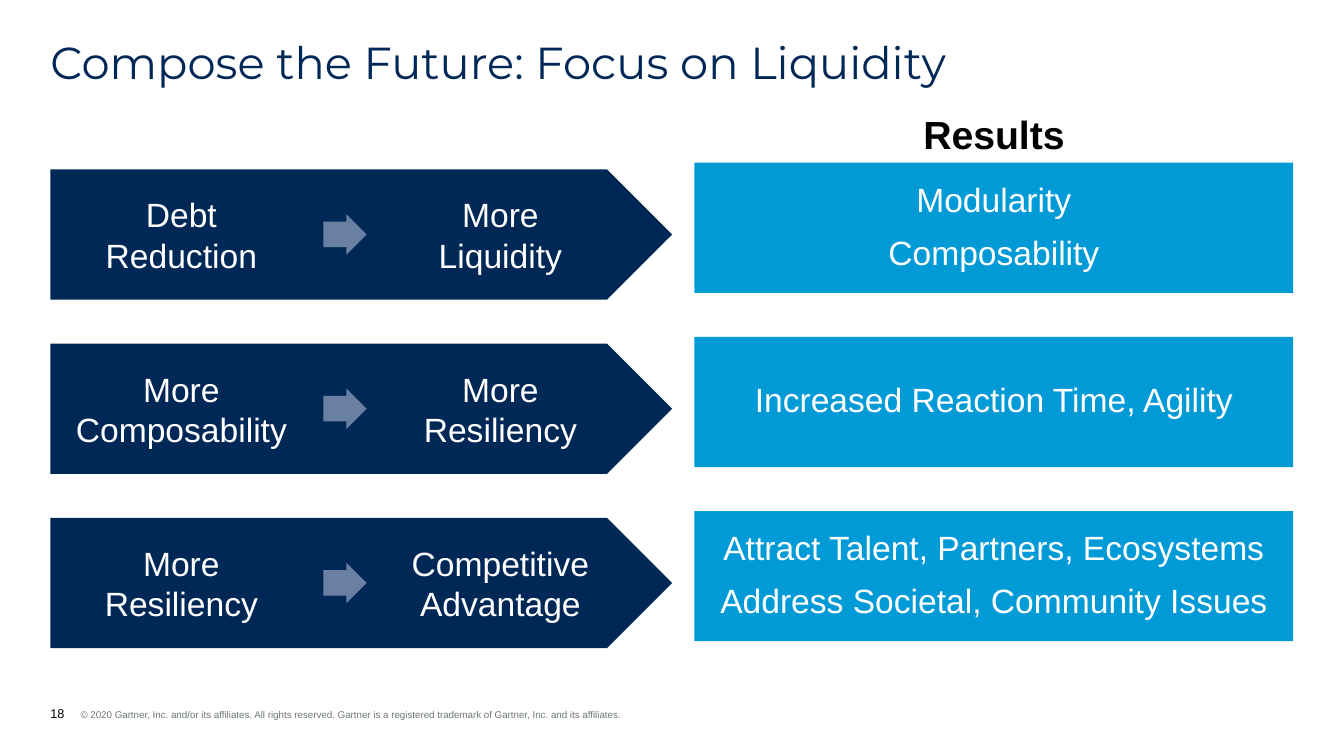
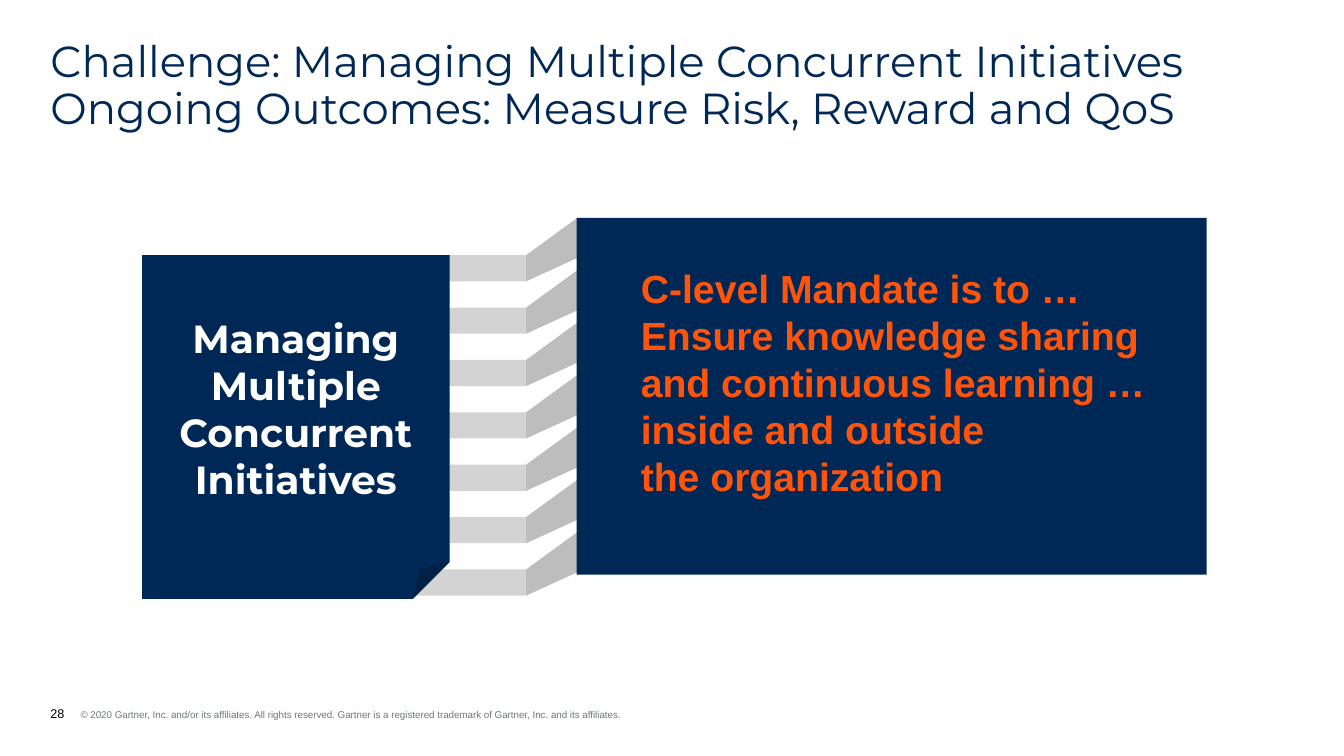
from dataclasses import dataclass

from lxml.etree import SubElement
from pptx import Presentation
from pptx.dml.color import RGBColor
from pptx.enum.shapes import MSO_SHAPE
from pptx.enum.text import MSO_ANCHOR, MSO_AUTO_SIZE, PP_ALIGN
from pptx.oxml.ns import qn
from pptx.util import Cm, Pt

COLORS = {
    "navy": "002856",
    "sky": "009AD7",
    "slate": "6A80A3",
    "orange": "FF540A",
    "band": "D3D3D3",
    "fold": "BDBDBD",
    "footer": "6F7878",
    "white": "FFFFFF",
    "black": "000000",
}
COPYRIGHT = (
    "© 2020 Gartner, Inc. and/or its affiliates. All rights reserved. "
    "Gartner is a registered trademark of Gartner, Inc. and its affiliates."
)
MARGIN = 1.27


@dataclass(frozen=True)
class Box:
    x: float
    y: float
    w: float
    h: float

    def lengths(self) -> tuple:
        return Cm(self.x), Cm(self.y), Cm(self.w), Cm(self.h)


@dataclass(frozen=True)
class Style:
    size: float
    color: str
    font: str = "Arial"
    bold: bool = False
    align: PP_ALIGN = PP_ALIGN.CENTER
    anchor: MSO_ANCHOR = MSO_ANCHOR.MIDDLE
    spacing: float = 1.0
    gap: float = 0
    insets: tuple = (0.25, 0.13, 0.25, 0.13)


@dataclass(frozen=True)
class Step:
    cause: str
    effect: str
    results: str


STEP_TEXT = Style(24, "white")
RESULT_TEXT = Style(24, "white", spacing=0.9, gap=12)
HEADING_TEXT = Style(28, "black", bold=True)
CARD_TEXT = Style(28, "white", "Montserrat", True, insets=(0, 0, 0, 0))
MANDATE_TEXT = Style(28, "orange", bold=True, align=PP_ALIGN.LEFT,
                     anchor=MSO_ANCHOR.TOP, insets=(0, 0.13, 0.25, 0.13))

STEPS = (
    Step("Debt\vReduction", "More\vLiquidity", "Modularity\nComposability"),
    Step("More\vComposability", "More\vResiliency",
         "Increased Reaction Time, Agility"),
    Step("More\vResiliency", "Competitive\vAdvantage",
         "Attract Talent, Partners, Ecosystems\n"
         "Address Societal, Community Issues"),
)


def rgb(name: str) -> RGBColor:
    return RGBColor.from_string(COLORS[name])


def format_run(r, style: Style) -> None:
    r.font.size = Pt(style.size)
    r.font.name = style.font
    r.font.bold = style.bold
    r.font.color.rgb = rgb(style.color)


def set_frame(tf, style: Style) -> None:
    tf.word_wrap = True
    tf.auto_size = MSO_AUTO_SIZE.NONE
    tf.vertical_anchor = style.anchor
    tf.margin_left, tf.margin_top, tf.margin_right, tf.margin_bottom = map(
        Cm, style.insets)


def write(sp, text: str, style: Style) -> None:
    tf = sp.text_frame
    set_frame(tf, style)
    tf.text = text
    for i, p in enumerate(tf.paragraphs):
        p.alignment = style.align
        p.line_spacing = style.spacing
        p.space_before = Pt(style.gap if i else 0)
        for r in p.runs:
            format_run(r, style)


def paint(sp, color: str) -> None:
    sp.shadow.inherit = False
    sp.fill.solid()
    sp.fill.fore_color.rgb = rgb(color)
    sp.line.fill.background()


def add_block(s, kind: MSO_SHAPE, box: Box, color: str):
    sp = s.shapes.add_shape(kind, *box.lengths())
    paint(sp, color)
    return sp


def add_label(s, box: Box, text: str, style: Style) -> None:
    write(s.shapes.add_textbox(*box.lengths()), text, style)


def add_footer(s, number: int) -> None:
    style = Style(9, "black", anchor=MSO_ANCHOR.BOTTOM, insets=(0, 0, 0, 0))
    tf = s.shapes.add_textbox(*Box(MARGIN, 17.8, 19.94, 0.38).lengths()).text_frame
    set_frame(tf, style)
    p = tf.paragraphs[0]
    pPr = p._p.get_or_add_pPr()
    pPr.set("marL", str(Cm(0.76)))
    pPr.set("indent", str(Cm(-0.76)))
    tabs = SubElement(pPr, qn("a:tabLst"))
    SubElement(tabs, qn("a:tab"), pos=str(Cm(0.81)), algn="l")
    for text, run_style in ((str(number), style),
                            ("\t" + COPYRIGHT, Style(7, "footer"))):
        r = p.add_run()
        r.text = text
        format_run(r, run_style)


def add_slide(prs, number: int, title: str, size: float):
    s = prs.slides.add_slide(prs.slide_layouts[5])
    sp = s.shapes.title
    sp.left, sp.top, sp.width, sp.height = Box(MARGIN, 1.02, 31.32, 1.22).lengths()
    write(sp, title, Style(size, "navy", "Montserrat", align=PP_ALIGN.LEFT,
                           anchor=MSO_ANCHOR.TOP, spacing=0.9,
                           insets=(0, 0, 0, 0)))
    add_footer(s, number)
    return s


def add_step(s, step: Step, top: float) -> None:
    height = 3.28
    add_block(s, MSO_SHAPE.PENTAGON, Box(MARGIN, top, 15.67, height), "navy")
    for center, text in ((4.57, step.cause), (12.61, step.effect)):
        add_label(s, Box(center - 3, top, 6, height), text, STEP_TEXT)
    arrow = add_block(s, MSO_SHAPE.RIGHT_ARROW,
                      Box(8.15, top + (height - 1.02) / 2, 1.09, 1.02), "slate")
    arrow.adjustments[0] = 0.63
    result = add_block(s, MSO_SHAPE.RECTANGLE,
                       Box(17.5, top - 0.17, 15.09, height), "sky")
    write(result, step.results, RESULT_TEXT)


def build_liquidity(prs) -> None:
    s = add_slide(prs, 18, "Compose the Future: Focus on Liquidity", 32)
    add_label(s, Box(22.5, 2.64, 5.1, 1.47), "Results", HEADING_TEXT)
    for i, step in enumerate(STEPS):
        add_step(s, step, 4.27 + 4.39 * i)


def add_band(s, left: float, top: float) -> None:
    bend, end, height = 13.26, 14.55, 0.66
    corners = ((bend, top), (end, top - 0.94), (end, top + 0.07),
               (bend, top + height))
    points = [(Cm(x), Cm(y)) for x, y in corners]
    builder = s.shapes.build_freeform(*points[0], scale=1.0)
    builder.add_line_segments(points[1:], close=True)
    paint(builder.convert_to_shape(), "fold")
    add_block(s, MSO_SHAPE.RECTANGLE, Box(left, top, bend - left, height), "band")


def add_card(s, box: Box, text: str) -> None:
    sp = add_block(s, MSO_SHAPE.FOLDED_CORNER, box, "navy")
    geometry = sp._element.spPr.find(qn("a:prstGeom"))
    guides = geometry.find(qn("a:avLst"))
    if guides is None:
        guides = SubElement(geometry, qn("a:avLst"))
    SubElement(guides, qn("a:gd"), name="adj", fmla="val 11900")
    write(sp, text, CARD_TEXT)


def build_challenge(prs) -> None:
    s = add_slide(prs, 28, "Challenge: Managing Multiple Concurrent Initiatives "
                  "Ongoing Outcomes: Measure Risk, Reward and QoS", 31)
    count, pitch = 7, 1.32
    for i in range(count):
        add_band(s, 9.93 if i == count - 1 else 11.28, 6.43 + pitch * i)
    add_card(s, Box(3.58, 6.43, 7.75, 8.66),
             "Managing\nMultiple Concurrent\nInitiatives")
    add_block(s, MSO_SHAPE.RECTANGLE, Box(14.53, 5.49, 15.88, 8.99), "navy")
    add_label(s, Box(16.15, 6.53, 13.56, 7.09),
              "C-level Mandate is to …\n"
              "Ensure knowledge sharing and continuous learning …\n"
              "inside and outside\vthe organization", MANDATE_TEXT)


def main() -> None:
    prs = Presentation()
    prs.slide_width, prs.slide_height = Cm(33.87), Cm(19.05)
    build_liquidity(prs)
    build_challenge(prs)
    prs.save("out.pptx")


if __name__ == "__main__":
    main()
